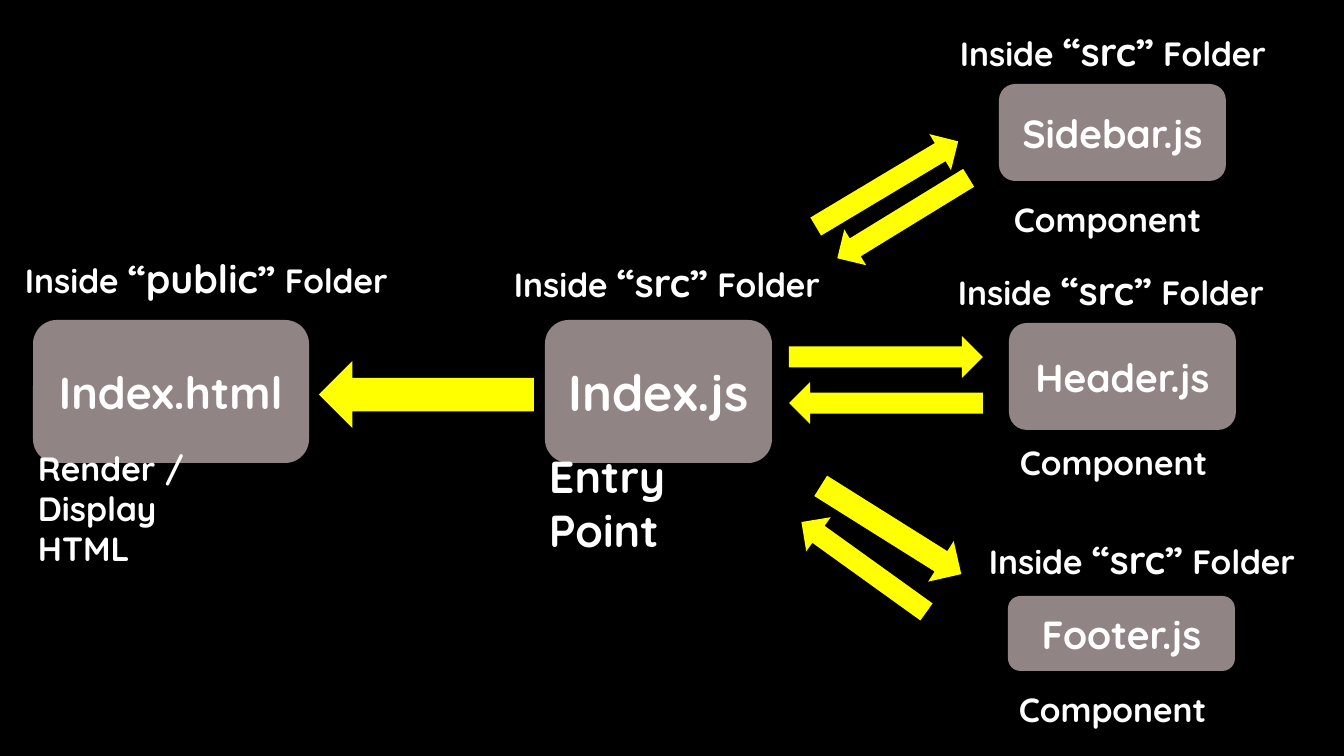
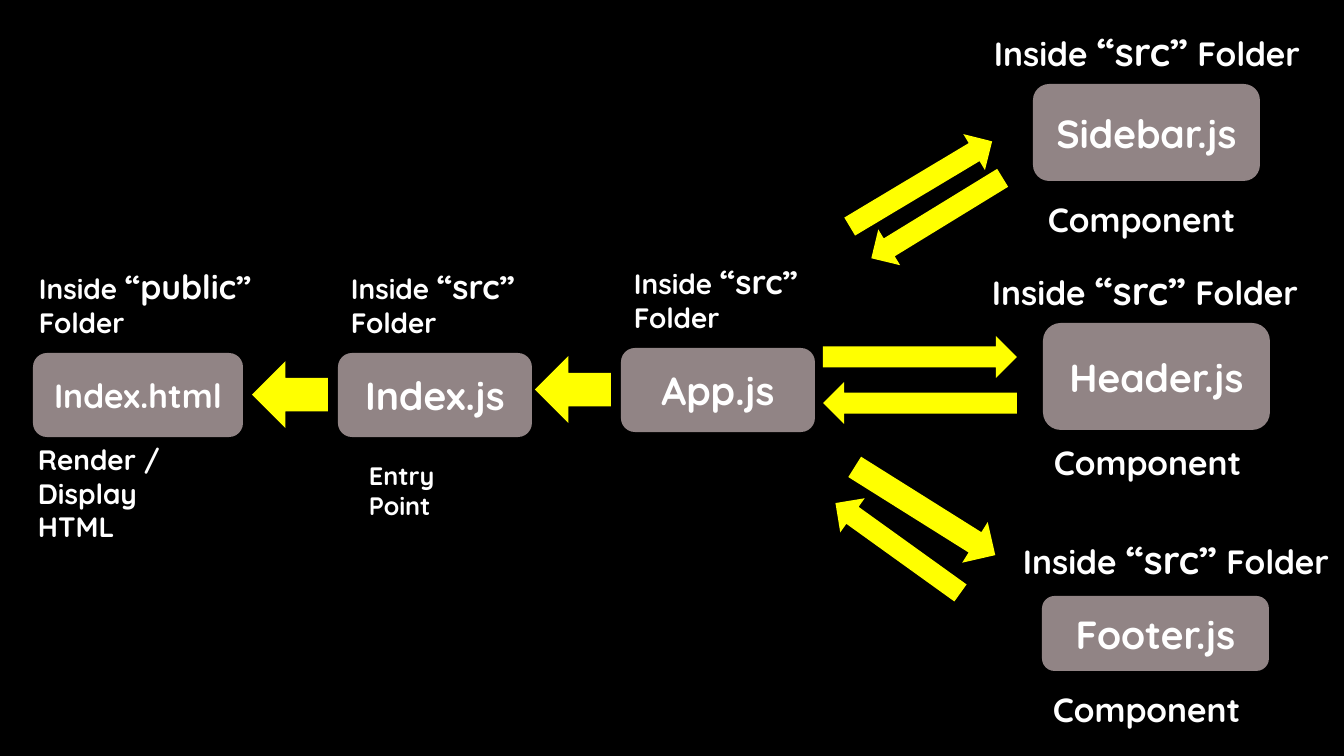
from pptx import Presentation
from pptx.dml.color import RGBColor
from pptx.enum.shapes import MSO_SHAPE
from pptx.enum.text import MSO_ANCHOR, PP_ALIGN
from pptx.util import Emu, Pt

# Shared look
BLACK = RGBColor(0x00, 0x00, 0x00)
WHITE = RGBColor(0xFF, 0xFF, 0xFF)
TAUPE = RGBColor(0x91, 0x84, 0x85)
YELLOW = RGBColor(0xFF, 0xFF, 0x00)
FONT = "Quicksand"
EMU_PER_PIXEL = 914400 / 100.8
NARROW = 28  # right inset that moves the last word to the next line

# Component files: name, box, label corner, caption corner
COMPONENTS = [
    ("Sidebar.js", (999, 84, 227, 97), (950, 22), (1004, 194)),
    ("Header.js", (1009, 323, 227, 107), (948, 261), (1010, 437)),
    ("Footer.js", (1008, 596, 227, 75), (979, 530), (1009, 684)),
]
# Arrows to and from the components: box, rotation
SIDEBAR_ARROWS = [((804, 163, 166, 42), 329.1), ((826, 197, 154, 42), 148.5)]
HEADER_ARROWS = [((789, 336, 194, 42), 0), ((789, 382, 194, 42), 180)]
FOOTER_ARROWS = [((808, 506, 166, 48), 32.1), ((787, 546, 154, 42), 215.7)]


def px(value):
    return Emu(round(value * EMU_PER_PIXEL))


def moved(box, right, down=0):
    left, top, width, height = box
    return left + right, top + down, width, height


def add_run(paragraph, text, size):
    run = paragraph.add_run()
    run.text = text
    run.font.name = FONT
    run.font.size = Pt(size)
    run.font.bold = True
    run.font.color.rgb = WHITE


def add_filled_shape(slide, kind, box, color):
    shape = slide.shapes.add_shape(kind, *map(px, box))
    shape.shadow.inherit = False
    shape.fill.solid()
    shape.fill.fore_color.rgb = color
    shape.line.fill.background()
    return shape


def add_file_box(slide, box, name, size=28):
    shape = add_filled_shape(slide, MSO_SHAPE.ROUNDED_RECTANGLE, box, TAUPE)
    shape.text_frame.vertical_anchor = MSO_ANCHOR.MIDDLE
    paragraph = shape.text_frame.paragraphs[0]
    paragraph.alignment = PP_ALIGN.CENTER
    add_run(paragraph, name, size)


def add_arrow(slide, box, rotation=180):
    shape = add_filled_shape(slide, MSO_SHAPE.RIGHT_ARROW, box, YELLOW)
    shape.rotation = rotation


def add_text(slide, box, lines, anchor=MSO_ANCHOR.MIDDLE, right_inset=10):
    """Each line is a list of (text, size) runs."""
    frame = slide.shapes.add_textbox(*map(px, box)).text_frame
    frame.word_wrap = True
    frame.vertical_anchor = anchor
    frame.margin_right = px(right_inset)
    for index, runs in enumerate(lines):
        paragraph = frame.add_paragraph() if index else frame.paragraphs[0]
        for text, size in runs:
            add_run(paragraph, text, size)


def add_folder_label(slide, box, folder, size=24, stacked=False):
    quoted = (f"\u201c{folder}\u201d", size + 4)
    if stacked:
        lines = [[("Inside ", size), quoted], [("Folder", size)]]
    else:
        lines = [[("Inside ", size), quoted, (" Folder", size)]]
    add_text(slide, box, lines)


def add_render_note(slide, box, size):
    lines = [[("Render / Display", size)], [("HTML", size)]]
    add_text(slide, box, lines, right_inset=NARROW)


def add_entry_note(slide, box, size, anchor=MSO_ANCHOR.MIDDLE):
    add_text(slide, box, [[("Entry Point", size)]], anchor, NARROW)


def add_components(slide, right=0, footer_rise=0):
    for name, box, label, caption in COMPONENTS:
        add_file_box(slide, moved(box, right), name)
        add_folder_label(slide, moved((*label, 332, 57), right), "src")
        add_text(slide, moved((*caption, 217, 50), right), [[("Component", 24)]])
    for box, rotation in SIDEBAR_ARROWS + HEADER_ARROWS:
        add_arrow(slide, moved(box, right), rotation)
    for box, rotation in FOOTER_ARROWS:
        add_arrow(slide, moved(box, right, -footer_rise), rotation)


def add_black_slide(presentation):
    slide = presentation.slides.add_slide(presentation.slide_layouts[6])
    slide.background.fill.solid()
    slide.background.fill.fore_color.rgb = BLACK
    return slide


def build_direct_flow(presentation):
    slide = add_black_slide(presentation)
    # Entry point
    add_file_box(slide, (545, 320, 227, 143), "Index.js", 36)
    add_entry_note(slide, (539, 470, 244, 65), 32)
    add_folder_label(slide, (504, 253, 332, 57), "src")
    # Rendered page
    add_file_box(slide, (33, 320, 276, 143), "Index.html", 32)
    add_arrow(slide, (319, 361, 215, 67))
    add_folder_label(slide, (15, 249, 396, 57), "public")
    add_render_note(slide, (28, 462, 291, 92), 24)
    add_components(slide)


def build_app_flow(presentation):
    slide = add_black_slide(presentation)
    # Rendered page
    add_file_box(slide, (33, 353, 210, 84), "Index.html", 24)
    add_folder_label(slide, (29, 260, 245, 85), "public", 20, stacked=True)
    add_render_note(slide, (28, 454, 246, 78), 20)
    add_arrow(slide, (252, 361, 76, 67))
    # Entry point and app, each with a label above
    for name, left, top in [("Index.js", 338, 353), ("App.js", 621, 348)]:
        add_file_box(slide, (left, top, 194, 84), name)
        add_folder_label(slide, (left + 3, top - 93, 197, 85), "src", 20, stacked=True)
    add_entry_note(slide, (359, 455, 146, 40), 18, MSO_ANCHOR.TOP)
    add_arrow(slide, (535, 356, 76, 67))
    add_components(slide, right=34, footer_rise=19)


def main():
    presentation = Presentation()
    presentation.slide_width = px(1344)
    presentation.slide_height = px(756)
    build_direct_flow(presentation)
    build_app_flow(presentation)
    presentation.save("out.pptx")


main()
